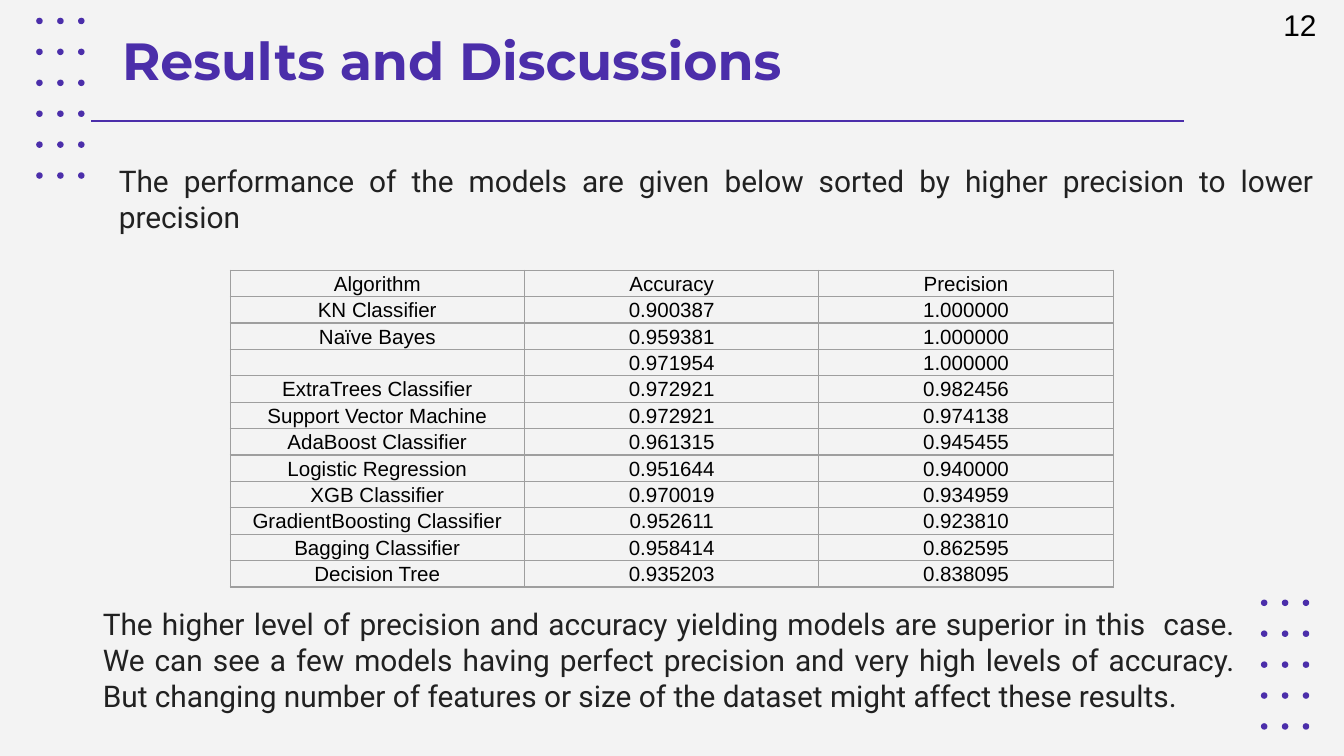
from dataclasses import dataclass

from lxml import etree
from pptx import Presentation
from pptx.dml.color import RGBColor
from pptx.enum.shapes import MSO_CONNECTOR, MSO_SHAPE
from pptx.enum.text import MSO_ANCHOR, PP_ALIGN
from pptx.oxml.ns import qn
from pptx.slide import Slide
from pptx.table import _Cell
from pptx.util import Pt

OVAL = MSO_SHAPE.OVAL
STRAIGHT = MSO_CONNECTOR.STRAIGHT
MIDDLE = MSO_ANCHOR.MIDDLE
LEFT, CENTER, JUSTIFY = PP_ALIGN.LEFT, PP_ALIGN.CENTER, PP_ALIGN.JUSTIFY

PURPLE, INK, BLACK = "4B2EAA", "212121", "000000"
PAPER, GRID = "F3F3F3", "9E9E9E"
DOT_SIZE, DOT_DX, DOT_DY = 3.5, 11.2, 16.56
ROW_HEIGHT, COL_WIDTH = 13.44, 157.7


@dataclass
class DotGrid:
    left: float
    top: float
    rows: int
    cols: int = 3


@dataclass
class TextBox:
    left: float
    top: float
    width: float
    height: float
    text: str
    size: float
    font: str
    color: str
    bold: bool = False
    align: PP_ALIGN = LEFT
    indent: float = 0
    inset_y: float = 3.6


DOT_GRIDS = [DotGrid(19.4, 9.5, 6), DotGrid(675.5, 321.2, 5)]

TEXT_BOXES = [
    TextBox(680.4, 0, 32.4, 26.6, "12", 16, "Arial", BLACK),
    TextBox(58.3, 7.9, 579.6, 71.3, "Results and Discussions", 28, "Montserrat",
            PURPLE, bold=True, inset_y=7.2),
    TextBox(8.6, 83.5, 702.7, 67.7,
            "The performance of the models are given below sorted by higher "
            "precision to lower precision",
            16, "Roboto", INK, align=JUSTIFY, indent=48),
    TextBox(0, 321.1, 668.9, 87.1,
            "The higher level of precision and accuracy yielding models are "
            "superior in this  case. We can see a few models having perfect "
            "precision and very high levels of accuracy. But changing number of "
            "features or size of the dataset might affect these results.",
            16, "Roboto", INK, align=JUSTIFY, indent=48),
]

RESULTS = [
    ("Algorithm", "Accuracy", "Precision"),
    ("KN Classifier", "0.900387", "1.000000"),
    ("Naïve Bayes", "0.959381", "1.000000"),
    ("", "0.971954", "1.000000"),
    ("ExtraTrees Classifier", "0.972921", "0.982456"),
    ("Support Vector Machine", "0.972921", "0.974138"),
    ("AdaBoost Classifier", "0.961315", "0.945455"),
    ("Logistic Regression", "0.951644", "0.940000"),
    ("XGB Classifier", "0.970019", "0.934959"),
    ("GradientBoosting Classifier", "0.952611", "0.923810"),
    ("Bagging Classifier", "0.958414", "0.862595"),
    ("Decision Tree", "0.935203", "0.838095"),
]


def rgb(value: str) -> RGBColor:
    return RGBColor.from_string(value)


def add_run(p, text: str, size: float, font: str, color: str, bold: bool = False) -> None:
    r = p.add_run()
    r.text = text
    r.font.size = Pt(size)
    r.font.name = font
    r.font.bold = bold
    r.font.color.rgb = rgb(color)


def draw_dots(s: Slide, grid: DotGrid) -> None:
    for row in range(grid.rows):
        for col in range(grid.cols):
            sp = s.shapes.add_shape(OVAL, Pt(grid.left + col * DOT_DX),
                                    Pt(grid.top + row * DOT_DY),
                                    Pt(DOT_SIZE), Pt(DOT_SIZE))
            sp.shadow.inherit = False
            sp.fill.solid()
            sp.fill.fore_color.rgb = rgb(PURPLE)
            sp.line.fill.background()


def draw_rule(s: Slide, left: float, right: float, y: float) -> None:
    line = s.shapes.add_connector(STRAIGHT, Pt(left), Pt(y), Pt(right), Pt(y))
    line.line.color.rgb = rgb(PURPLE)
    line.line.width = Pt(0.75)
    etree.SubElement(line._element.spPr, qn("a:effectLst"))


def draw_text(s: Slide, box: TextBox) -> None:
    sp = s.shapes.add_textbox(Pt(box.left), Pt(box.top), Pt(box.width), Pt(box.height))
    tf = sp.text_frame
    tf.word_wrap = True
    tf.margin_top = tf.margin_bottom = Pt(box.inset_y)
    p = tf.paragraphs[0]
    p.alignment = box.align
    if box.indent:
        pPr = p._p.get_or_add_pPr()
        pPr.set("marL", str(Pt(box.indent)))
        pPr.set("indent", "0")
    add_run(p, box.text, box.size, box.font, box.color, box.bold)


def set_borders(cell: _Cell) -> None:
    tcPr = cell._tc.get_or_add_tcPr()
    for i, side in enumerate(("lnL", "lnR", "lnT", "lnB")):
        ln = etree.Element(qn(f"a:{side}"), w=str(Pt(0.75)))
        fill = etree.SubElement(ln, qn("a:solidFill"))
        etree.SubElement(fill, qn("a:srgbClr"), val=GRID)
        tcPr.insert(i, ln)


def fill_cell(cell: _Cell, text: str) -> None:
    cell.fill.background()
    cell.vertical_anchor = MIDDLE
    cell.margin_left = cell.margin_right = Pt(5)
    cell.margin_top = cell.margin_bottom = Pt(0)
    set_borders(cell)
    p = cell.text_frame.paragraphs[0]
    p.alignment = CENTER
    p.line_spacing = 1.07
    if text:
        add_run(p, text, 11, "Arial", BLACK)
    else:
        etree.SubElement(p._p, qn("a:endParaRPr"), sz="1100")


def draw_table(s: Slide, left: float, top: float, rows: list[tuple[str, ...]]) -> None:
    n_cols = len(rows[0])
    table = s.shapes.add_table(len(rows), n_cols, Pt(left), Pt(top),
                               Pt(COL_WIDTH * n_cols), Pt(ROW_HEIGHT * len(rows))).table
    table.first_row = table.horz_banding = False
    for column in table.columns:
        column.width = Pt(COL_WIDTH)
    for row, values in zip(table.rows, rows):
        row.height = Pt(ROW_HEIGHT)
        for cell, text in zip(row.cells, values):
            fill_cell(cell, text)


def main() -> None:
    prs = Presentation()
    prs.slide_width, prs.slide_height = Pt(720), Pt(405)
    s = prs.slides.add_slide(prs.slide_layouts[6])
    s.background.fill.solid()
    s.background.fill.fore_color.rgb = rgb(PAPER)
    for grid in DOT_GRIDS:
        draw_dots(s, grid)
    draw_rule(s, 49, 634.3, 64.8)
    for box in TEXT_BOXES:
        draw_text(s, box)
    draw_table(s, 123.3, 144.7, RESULTS)
    prs.save("out.pptx")


if __name__ == "__main__":
    main()
